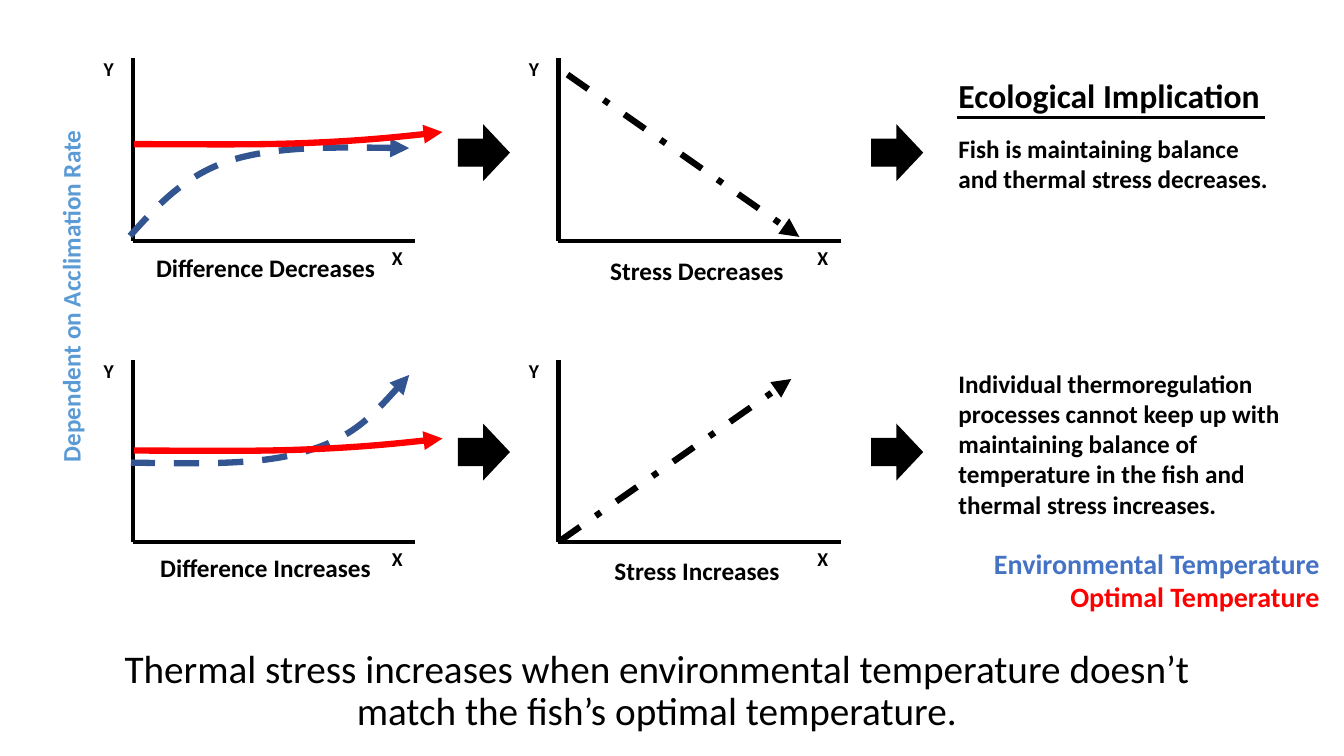
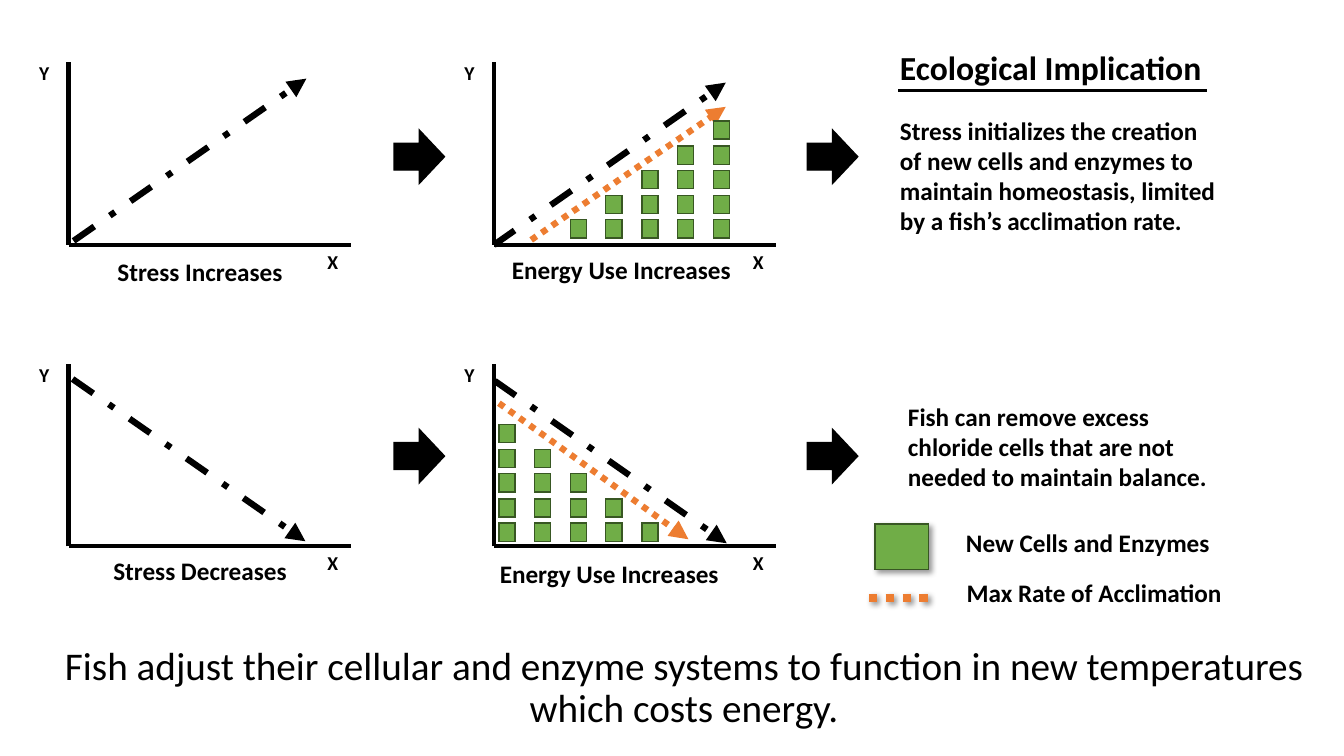
from dataclasses import dataclass
from math import cos, radians, sin

from lxml.etree import SubElement
from pptx import Presentation
from pptx.dml.color import RGBColor
from pptx.enum.dml import MSO_LINE
from pptx.enum.shapes import MSO_CONNECTOR, MSO_SHAPE
from pptx.enum.text import MSO_ANCHOR, PP_ALIGN
from pptx.oxml.ns import qn
from pptx.util import Emu, Pt

PX = 9144  # EMU in one px, 100 px to the inch


@dataclass(frozen=True)
class Theme:
    font: str = "Calibri"
    ink: RGBColor = RGBColor(0, 0, 0)
    environment: RGBColor = RGBColor(0x44, 0x72, 0xC4)
    environment_curve: RGBColor = RGBColor(0x32, 0x54, 0x91)
    optimal: RGBColor = RGBColor(0xFF, 0, 0)
    side_label: RGBColor = RGBColor(0x5B, 0x9B, 0xD5)
    acclimation: RGBColor = RGBColor(0xED, 0x7D, 0x31)
    cell: RGBColor = RGBColor(0x70, 0xAD, 0x47)
    cell_edge: RGBColor = RGBColor(0x38, 0x57, 0x23)
    message_size: int = 28
    heading_size: int = 24
    legend_size: int = 20
    body_size: int = 18
    axis_size: int = 14


THEME = Theme()


def add_text(slide, text, left, top, width, height, size=THEME.body_size, color=THEME.ink,
             bold=True, align=PP_ALIGN.LEFT, anchor=MSO_ANCHOR.TOP, spacing=1.0, rotation=0):
    """Place a text box, one paragraph for each line of text, and return its frame."""
    box = slide.shapes.add_textbox(left * PX, top * PX, width * PX, height * PX)
    box.rotation = rotation
    frame = box.text_frame
    frame.word_wrap = True
    frame.vertical_anchor = anchor
    frame.text = text
    for paragraph in frame.paragraphs:
        paragraph.alignment = align
        paragraph.line_spacing = spacing
        for run in paragraph.runs:
            run.font.name = THEME.font
            run.font.size = Pt(size)
            run.font.bold = bold
            run.font.color.rgb = color
    return frame


def add_stroke(slide, points, color=THEME.ink, width=4.5, dash=None, arrow="tailEnd", tilt=0):
    """Draw a line for two points, or chained cubic Béziers for 4, 7, ... points.

    A tilted curve keeps its place on the slide, but its frame is turned by tilt degrees.
    """
    points = [(x * PX, y * PX) for x, y in points]
    if len(points) == 2:
        stroke = slide.shapes.add_connector(MSO_CONNECTOR.STRAIGHT, *points[0], *points[1])
    else:
        c, s = cos(radians(tilt)), sin(radians(tilt))
        level = [(x * c + y * s, y * c - x * s) for x, y in points]
        middle_x, middle_y = [(min(values) + max(values)) / 2 for values in zip(*level)]
        shift_x = middle_x * c - middle_y * s - middle_x
        shift_y = middle_x * s + middle_y * c - middle_y
        level = [(round(x + shift_x), round(y + shift_y)) for x, y in level]
        builder = slide.shapes.build_freeform(*level[0])
        builder.add_line_segments(level[1:], close=False)
        stroke = builder.convert_to_shape()
        stroke.fill.background()
        stroke.rotation = tilt
        outline = stroke._element.spPr.find(".//" + qn("a:path"))
        segments = outline.findall(qn("a:lnTo"))
        for first in range(0, len(segments), 3):
            bezier = SubElement(outline, qn("a:cubicBezTo"))
            for segment in segments[first:first + 3]:
                bezier.append(segment[0])
                outline.remove(segment)
    stroke.line.color.rgb = color
    stroke.line.width = Pt(width)
    if dash:
        stroke.line.dash_style = dash
    properties = stroke._element.spPr
    if arrow:
        SubElement(properties.find(qn("a:ln")), qn("a:" + arrow), type="triangle")
    SubElement(properties, qn("a:effectLst"))
    return stroke


# Content of the two slides: captions are (text, centre, top), notes (text, left, top, width, height)
SCENES = [
    {
        "origin": (132, 239),
        "message": ("Thermal stress increases when environmental temperature doesn’t "
                    "match the fish’s optimal temperature.", 97, 614, 1109, 145),
        "heading": (941, 69),
        "captions": [("Difference Decreases", 263, 245), ("Stress Decreases", 691, 248),
                     ("Difference Increases", 263, 543), ("Stress Increases", 691, 546)],
        "notes": [("Fish is maintaining balance and thermal stress decreases.",
                   941, 127, 337, 71),
                  ("Individual thermoregulation processes cannot keep up with maintaining "
                   "balance of temperature in the fish and thermal stress increases.",
                   941, 360, 378, 162)],
        "stress": [[(563, 74), (793, 235)], [(555, 537), (785, 376)]],
    },
    {
        "origin": (68, 243),
        "message": ("Fish adjust their cellular and enzyme systems to function in new "
                    "temperatures which costs energy.", 23, 611, 1311, 145),
        "heading": (883, 42),
        "captions": [("Stress Increases", 198, 249), ("Energy Use Increases", 616, 247),
                     ("Stress Decreases", 198, 546), ("Energy Use Increases", 604, 549)],
        "notes": [("Stress initializes the creation of new cells and enzymes to maintain "
                   "homeostasis, limited by a fish’s acclimation rate.", 883, 109, 337, 131),
                  ("Fish can remove excess chloride cells that are not needed to maintain "
                   "balance.", 891, 393, 337, 101)],
        "stress": [[(73, 239), (304, 78)], [(490, 243), (720, 82)],
                   [(72, 376), (303, 537)], [(491, 378), (721, 539)]],
    },
]
GRAPH_STEP, ROW_STEP = 422, 299
AXIS_WIDTH, AXIS_HEIGHT = 280, 181

deck = Presentation()
deck.slide_width, deck.slide_height = Emu(12192000), Emu(6858000)
blocks = []  # (slide, preset, left, top, width, height, fill, edge)

for scene in SCENES:
    slide = deck.slides.add_slide(deck.slide_layouts[6])
    add_text(slide, *scene["message"], size=THEME.message_size, bold=False,
             align=PP_ALIGN.CENTER, anchor=MSO_ANCHOR.MIDDLE, spacing=0.9)

    origin_x, origin_y = scene["origin"]
    for row in range(2):
        base = origin_y + row * ROW_STEP
        for column in range(2):
            x = origin_x + column * GRAPH_STEP
            for axis_end in ((x, base - AXIS_HEIGHT), (x + AXIS_WIDTH, base)):
                add_stroke(slide, [(x, base), axis_end], width=3, arrow=None)
            add_text(slide, "X", x + 247, base, 65, 45, size=THEME.axis_size)
            add_text(slide, "Y", x - 39, base - 187, 64, 45, size=THEME.axis_size)
        for arrow_offset in (323, 733):
            blocks.append((slide, MSO_SHAPE.RIGHT_ARROW, origin_x + arrow_offset,
                           base - 114 - 2 * row, 50, 53, THEME.ink, THEME.ink))

    for caption, centre, top in scene["captions"]:
        add_text(slide, caption, centre - 216, top, 433, 40, align=PP_ALIGN.CENTER)
    for trend in scene["stress"]:
        add_stroke(slide, trend, dash=MSO_LINE.DASH_DOT)

    left, top = scene["heading"]
    add_text(slide, "Ecological Implication", left, top, 322, 50, size=THEME.heading_size)
    add_stroke(slide, [(left + 8, top + 48), (left + 314, top + 48)], width=2.25, arrow=None)
    for note in scene["notes"]:
        add_text(slide, *note)

temperature_slide, energy_slide = deck.slides

# Temperature curves and their key
for environment_curve, arrow in (
        ([(129, 234), (156, 204), (183, 174), (229, 159),
          (275, 145), (340, 146), (406, 147)], "tailEnd"),
        ([(406, 372), (379, 402), (352, 433), (306, 447),
          (260, 462), (195, 460), (130, 459)], "headEnd")):
    add_stroke(temperature_slide, environment_curve, color=THEME.environment_curve,
               dash=MSO_LINE.DASH, arrow=arrow)
for start_y in (447, 143):
    add_stroke(temperature_slide,
               [(439, start_y - 12), (396, start_y - 7), (352, start_y - 3), (301, start_y - 1),
                (250, start_y + 1), (192, start_y), (133, start_y)],
               color=THEME.optimal, arrow="headEnd", tilt=30.3)
key = add_text(temperature_slide, "Environmental Temperature\nOptimal Temperature",
               973, 537, 346, 77, size=THEME.legend_size, color=THEME.environment,
               align=PP_ALIGN.RIGHT)
key.paragraphs[1].runs[0].font.color.rgb = THEME.optimal
add_text(temperature_slide, "Dependent on Acclimation Rate", -106, 274, 352, 40,
         color=THEME.side_label, align=PP_ALIGN.CENTER, rotation=270)

# Acclimation limits, stacks of cells and their key
for limit in ([(495, 400), (683, 535)], [(527, 238), (720, 106)]):
    add_stroke(energy_slide, limit, color=THEME.acclimation, dash=MSO_LINE.ROUND_DOT)
cells = []
for stack in range(5):
    cells += [(566 + stack * 71 // 2, 218 - level * 49 // 2, 16, 18)
              for level in range(stack + 1)]
    cells += [(495 + stack * 71 // 2, 519 - level * 49 // 2, 16, 18)
              for level in range(5 - stack)]
cells.append((868, 520, 53, 45))
blocks += [(energy_slide, MSO_SHAPE.RECTANGLE, *cell, THEME.cell, THEME.cell_edge)
           for cell in cells]

for slide, preset, left, top, width, height, fill, edge in blocks:
    block = slide.shapes.add_shape(preset, left * PX, top * PX, width * PX, height * PX)
    block.shadow.inherit = False
    block.fill.solid()
    block.fill.fore_color.rgb = fill
    block.line.color.rgb = edge
    block.line.width = Pt(1)
    SubElement(block._element.spPr.find(qn("a:ln")), qn("a:miter"), lim="800000")

key_cell = block
key_dots = add_stroke(energy_slide, [(862, 593), (926, 593)], color=THEME.acclimation, width=6,
                      dash=MSO_LINE.ROUND_DOT, arrow=None)
for key_mark in (key_cell, key_dots):
    effects = key_mark._element.spPr.find(qn("a:effectLst"))
    shadow = SubElement(effects, qn("a:outerShdw"), blurRad=str(Pt(4)), dist=str(Pt(3)),
                        dir="2700000", algn="tl", rotWithShape="0")
    shadow_color = SubElement(shadow, qn("a:srgbClr"), val=str(THEME.ink))
    SubElement(shadow_color, qn("a:alpha"), val="40000")
for label, top, width in (("New Cells and Enzymes", 518, 264),
                          ("Max Rate of Acclimation", 568, 276)):
    add_text(energy_slide, label, 946, top, width, 40, align=PP_ALIGN.RIGHT)

deck.save("out.pptx")
